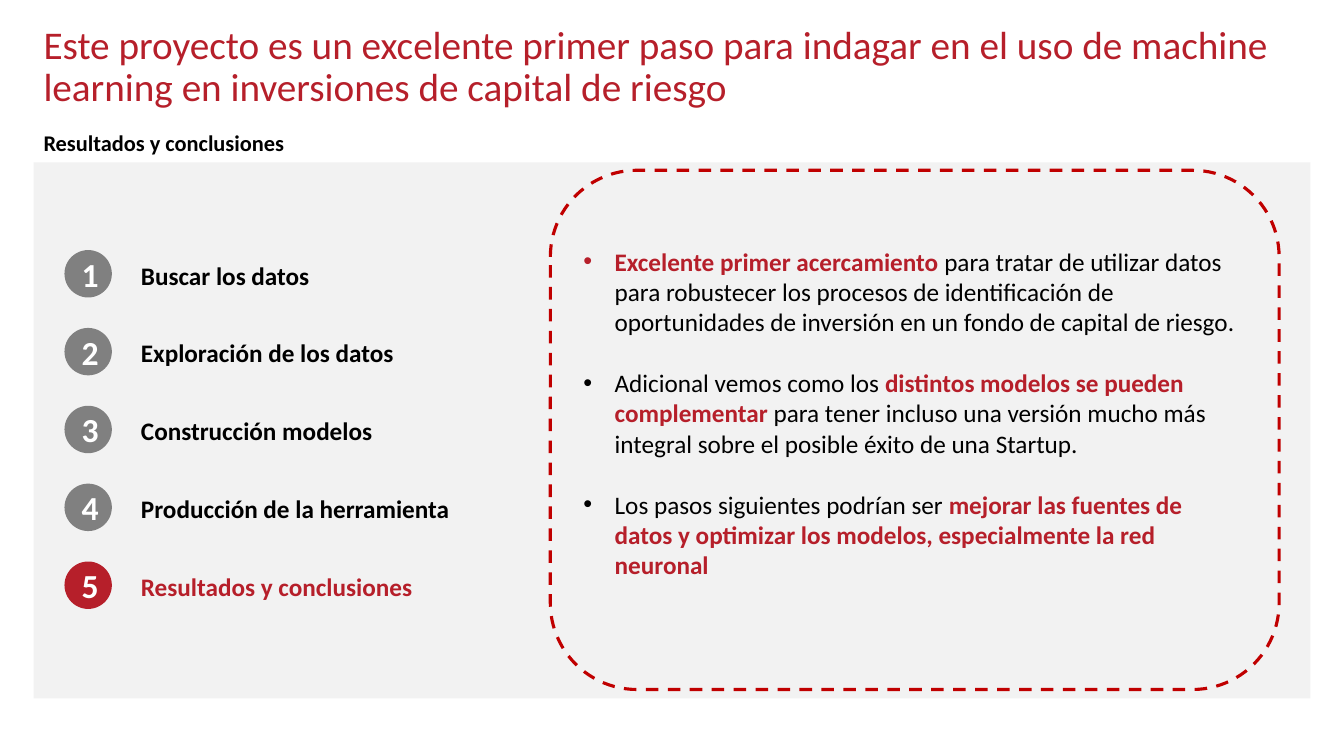
from dataclasses import dataclass

from lxml.etree import SubElement
from pptx import Presentation
from pptx.dml.color import RGBColor
from pptx.enum.dml import MSO_LINE
from pptx.enum.shapes import MSO_SHAPE
from pptx.enum.text import MSO_ANCHOR, PP_ALIGN
from pptx.oxml.ns import qn
from pptx.util import Inches, Pt

WIDTH, HEIGHT = Inches(13.33), Inches(7.5)
COLUMNS, ROWS = 40, 40


@dataclass(frozen=True)
class Theme:
    font: str = "Calibri"
    red: str = "B61F2A"
    outline: str = "C00000"
    gray: str = "808080"
    panel: str = "F2F2F2"
    black: str = "000000"
    white: str = "FFFFFF"
    title: int = 28
    number: int = 24
    body: int = 18
    subtitle: int = 16


THEME = Theme()

STEPS = [
    "Buscar los datos",
    "Exploración de los datos",
    "Construcción modelos",
    "Producción de la herramienta",
    "Resultados y conclusiones",
]
CURRENT_STEP = 5
STEP_PITCH = 4.12

# Each conclusion is a list of (text, highlighted) spans.
CONCLUSIONS = [
    [("Excelente primer acercamiento ", True),
     ("para tratar de utilizar datos para robustecer los procesos de identificación "
      "de oportunidades de inversión en un fondo de capital de riesgo.", False)],
    [("Adicional vemos como los ", False),
     ("distintos modelos se pueden complementar ", True),
     ("para tener incluso una versión mucho más integral sobre el posible éxito "
      "de una Startup.", False)],
    [("Los pasos siguientes podrían ser ", False),
     ("mejorar las fuentes de datos y optimizar los modelos, especialmente la red "
      "neuronal", True)],
]


def place(column, row, columns, rows):
    """Turn grid units into left, top, width and height."""
    return (int(WIDTH * column / COLUMNS), int(HEIGHT * row / ROWS),
            int(WIDTH * columns / COLUMNS), int(HEIGHT * rows / ROWS))


def style(font, size, color, bold=False):
    font.name = THEME.font
    font.size = Pt(size)
    font.bold = bold
    font.color.rgb = RGBColor.from_string(color)


def add_figure(page, kind, area, fill=None):
    figure = page.shapes.add_shape(kind, *place(*area))
    figure.shadow.inherit = False
    if fill:
        figure.fill.solid()
        figure.fill.fore_color.rgb = RGBColor.from_string(fill)
    else:
        figure.fill.background()
    figure.line.fill.background()
    return figure


def add_text(page, area, text, size, color, bold=False, line_spacing=None):
    box = page.shapes.add_textbox(*place(*area))
    box.text_frame.word_wrap = True
    para = box.text_frame.paragraphs[0]
    para.text = text
    para.line_spacing = line_spacing
    style(para.font, size, color, bold)


def add_step(page, number, label):
    active = number == CURRENT_STEP
    offset = (number - 1) * STEP_PITCH
    circle = add_figure(page, MSO_SHAPE.OVAL, (1.92, 13.23 + offset, 1.41, 2.51),
                        THEME.red if active else THEME.gray)
    frame = circle.text_frame
    frame.margin_left, frame.margin_right = Inches(0.04), 0
    frame.vertical_anchor = MSO_ANCHOR.MIDDLE
    para = frame.paragraphs[0]
    para.text = str(number)
    para.alignment = PP_ALIGN.CENTER
    style(para.font, THEME.number, THEME.white, True)
    add_text(page, (3.9, 13.49 + offset, 10.5, 2.13), label, THEME.body,
             THEME.red if active else THEME.black, True)


def add_bullet(para):
    properties = para._p.get_or_add_pPr()
    properties.set("marL", str(Inches(0.31)))
    properties.set("indent", str(-Inches(0.31)))
    SubElement(properties, qn("a:buFont")).set("typeface", "Arial")
    SubElement(properties, qn("a:buChar")).set("char", "•")


def add_conclusions(page, area):
    frame = page.shapes.add_textbox(*place(*area)).text_frame
    frame.word_wrap = True
    for index, spans in enumerate(CONCLUSIONS):
        para = frame.add_paragraph() if index else frame.paragraphs[0]
        if index:
            para.space_before = Pt(22)
        add_bullet(para)
        for text, highlighted in spans:
            span = para.add_run()
            span.text = text
            style(span.font, THEME.body,
                  THEME.red if highlighted else THEME.black, highlighted)


def main():
    deck = Presentation()
    deck.slide_width, deck.slide_height = WIDTH, HEIGHT
    page = deck.slides.add_slide(deck.slide_layouts[6])

    add_figure(page, MSO_SHAPE.RECTANGLE, (1, 8.59, 38, 28.37), THEME.panel)
    add_text(page, (1, 1.07, 38, 4.53),
             "Este proyecto es un excelente primer paso para indagar en el uso de "
             "machine learning en inversiones de capital de riesgo",
             THEME.title, THEME.red, line_spacing=0.9)
    add_text(page, (1, 6.72, 17.85, 1.81), "Resultados y conclusiones",
             THEME.subtitle, THEME.black, True, 0.9)

    for number, label in enumerate(STEPS, 1):
        add_step(page, number, label)

    frame = add_figure(page, MSO_SHAPE.ROUNDED_RECTANGLE, (16.38, 9.01, 21.69, 27.47))
    frame.line.color.rgb = RGBColor.from_string(THEME.outline)
    frame.line.width = Pt(2.25)
    frame.line.dash_style = MSO_LINE.DASH
    add_conclusions(page, (17.07, 12.75, 20.01, 19.95))

    deck.save("out.pptx")


if __name__ == "__main__":
    main()
